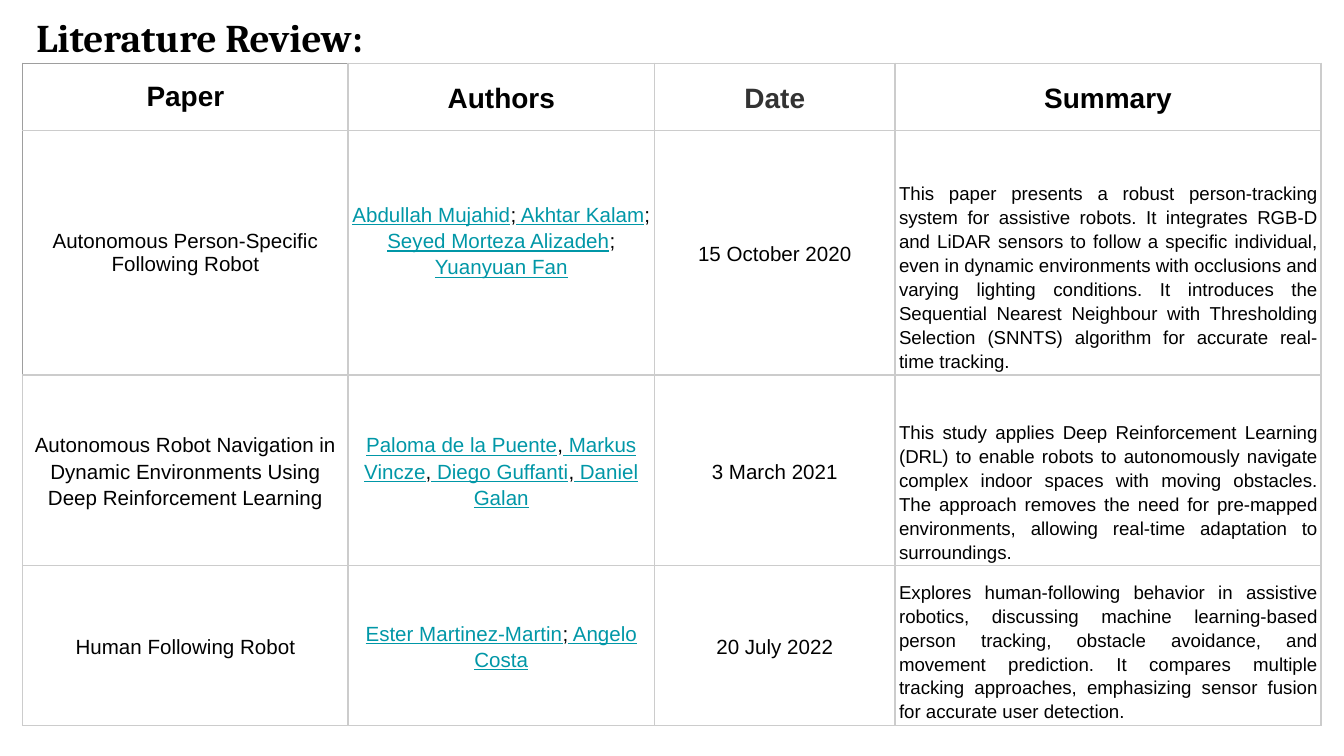
from lxml.etree import SubElement
from pptx import Presentation
from pptx.dml.color import RGBColor
from pptx.enum.text import MSO_ANCHOR, PP_ALIGN
from pptx.oxml.ns import qn
from pptx.util import Inches, Pt

BLACK, DARK, LINK, GRID, EDGE, WHITE = "000000", "333333", "0097A7", "CCCCCC", "9E9E9E", "FFFFFF"
COLUMN_WIDTHS = [2.42, 2.28, 1.79, 3.17]
ROW_HEIGHTS = [0.5, 1.82, 1.42, 1.19]
HEADERS = ["Paper", "Authors", "Date", "Summary"]
PAPERS = [
    ("Autonomous Person-Specific Following Robot",
     (";", ["Abdullah Mujahid", "Akhtar Kalam", "Seyed Morteza Alizadeh", "Yuanyuan Fan"]),
     "15 October 2020",
     "This paper presents a robust person-tracking system for assistive robots. It integrates "
     "RGB-D and LiDAR sensors to follow a specific individual, even in dynamic environments with "
     "occlusions and varying lighting conditions. It introduces the Sequential Nearest Neighbour "
     "with Thresholding Selection (SNNTS) algorithm for accurate real-time tracking."),
    ("Autonomous Robot Navigation in Dynamic Environments Using Deep Reinforcement Learning",
     (",", ["Paloma de la Puente", "Markus Vincze", "Diego Guffanti", "Daniel Galan"]),
     "3 March 2021",
     "This study applies Deep Reinforcement Learning (DRL) to enable robots to autonomously "
     "navigate complex indoor spaces with moving obstacles. The approach removes the need for "
     "pre-mapped environments, allowing real-time adaptation to surroundings."),
    ("Human Following Robot",
     (";", ["Ester Martinez-Martin", "Angelo Costa"]),
     "20 July 2022",
     "Explores human-following behavior in assistive robotics, discussing machine learning-based "
     "person tracking, obstacle avoidance, and movement prediction. It compares multiple tracking "
     "approaches, emphasizing sensor fusion for accurate user detection."),
]


def color(value):
    """Turn a hex string into a colour."""
    return RGBColor.from_string(value)


def style_span(span, size, tint=BLACK, bold=False, underline=False, name="Arial"):
    """Set the font of one run."""
    font = span.font
    font.name, font.size, font.bold, font.underline = name, Pt(size), bold, underline
    font.color.rgb = color(tint)


def set_margins(box, across, down):
    """Set equal side margins and equal top and bottom margins."""
    box.margin_left = box.margin_right = Inches(across)
    box.margin_top = box.margin_bottom = Inches(down)


def add_title(page, text):
    """Place the slide title in the title placeholder."""
    box = page.shapes.title
    box.left, box.top, box.width, box.height = Inches(0.17), 0, Inches(5.01), Inches(0.44)
    frame = box.text_frame
    frame.text = text
    frame.word_wrap = True
    frame.vertical_anchor = MSO_ANCHOR.TOP
    set_margins(frame, 0.1, 0.1)
    para = frame.paragraphs[0]
    para.alignment = PP_ALIGN.LEFT
    para.line_spacing = 1.0
    para.space_before = Pt(0)
    style_span(para.runs[0], 21, bold=True, name="Cambria")


def set_borders(cell, left, top):
    """Draw thin lines on all four sides of a cell."""
    properties = cell._tc.get_or_add_tcPr()
    for side, tint in (("L", left), ("R", GRID), ("T", top), ("B", GRID)):
        line = SubElement(properties, qn(f"a:ln{side}"), w=str(Pt(0.75)))
        SubElement(SubElement(line, qn("a:solidFill")), qn("a:srgbClr"), val=tint)


def format_cell(cell, row, column):
    """Apply margins, anchor, borders and fill by position in the grid."""
    roomy = column == 0 and row < 2
    set_margins(cell, *((0.1, 0.1) if roomy else (0.03, 0.02)))
    summary = column == 3 and row > 0
    cell.vertical_anchor = MSO_ANCHOR.BOTTOM if summary else MSO_ANCHOR.MIDDLE
    set_borders(cell, EDGE if roomy else GRID, EDGE if row == column == 0 else GRID)
    if column in (1, 2):
        cell.fill.solid()
        cell.fill.fore_color.rgb = color(WHITE)
    else:
        cell.fill.background()
    para = cell.text_frame.paragraphs[0]
    para.alignment = PP_ALIGN.JUSTIFY if summary else PP_ALIGN.CENTER
    para.line_spacing = 1.0 if roomy else 1.15


def write_text(cell, text, size, **style):
    """Write plain text in a cell."""
    para = cell.text_frame.paragraphs[0]
    para.text = text
    style_span(para.runs[0], size, **style)


def write_authors(cell, separator, names):
    """Write underlined author names with plain separators."""
    para = cell.text_frame.paragraphs[0]
    for index, name in enumerate(names):
        if index:
            span = para.add_run()
            span.text = separator
            style_span(span, 11)
        span = para.add_run()
        span.text = f" {name}" if index else name
        style_span(span, 11, LINK, underline=True)


def add_review_table(page):
    """Build the table of reviewed papers."""
    frame = page.shapes.add_table(
        len(ROW_HEIGHTS), len(COLUMN_WIDTHS), Inches(0.17), Inches(0.47),
        Inches(sum(COLUMN_WIDTHS)), Inches(sum(ROW_HEIGHTS)))
    table = frame.table
    table.first_row = table.horz_banding = False
    for column, width in zip(table.columns, COLUMN_WIDTHS):
        column.width = Inches(width)
    for row, height in zip(table.rows, ROW_HEIGHTS):
        row.height = Inches(height)
    for column, header in enumerate(HEADERS):
        tint = DARK if header == "Date" else BLACK
        write_text(table.cell(0, column), header, 15, tint=tint, bold=True)
    for row, (paper, authors, date, summary) in enumerate(PAPERS, 1):
        write_text(table.cell(row, 0), paper, 11)
        write_authors(table.cell(row, 1), *authors)
        write_text(table.cell(row, 2), date, 11)
        write_text(table.cell(row, 3), summary, 10)
    for row in range(len(ROW_HEIGHTS)):
        for column in range(len(COLUMN_WIDTHS)):
            format_cell(table.cell(row, column), row, column)
    table.cell(1, 1).margin_bottom = Inches(0.21)


def main():
    """Create the literature review slide."""
    deck = Presentation()
    deck.slide_width = Inches(10)
    deck.slide_height = deck.slide_width * 9 // 16
    page = deck.slides.add_slide(deck.slide_layouts[5])
    add_title(page, "Literature Review:")
    add_review_table(page)
    deck.save("out.pptx")


if __name__ == "__main__":
    main()
